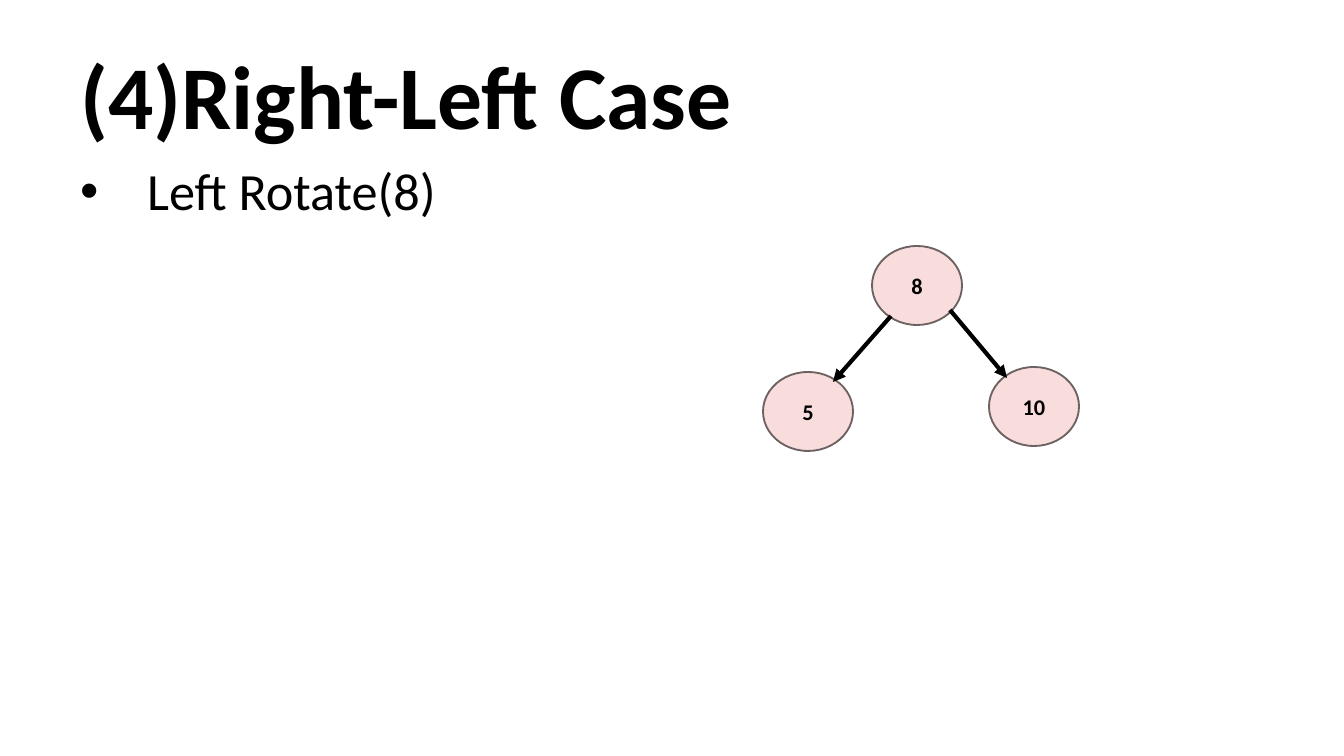
from lxml.etree import SubElement
from pptx import Presentation
from pptx.dml.color import RGBColor
from pptx.enum.shapes import MSO_CONNECTOR, MSO_SHAPE
from pptx.enum.text import MSO_ANCHOR, MSO_AUTO_SIZE, PP_ALIGN
from pptx.oxml.ns import qn
from pptx.util import Pt

SCALE = 914400 / 134.4
BLACK = RGBColor(0x00, 0x00, 0x00)
PINK = RGBColor(0xF9, 0xDD, 0xDD)
GRAY = RGBColor(0x6D, 0x61, 0x61)
NODE_WIDTH, NODE_HEIGHT = 90, 79


def px(*lengths):
    return [round(length * SCALE) for length in lengths]


def format_text(para, size, bold, align):
    para.alignment = align
    for span in para.runs:
        span.font.name = "Calibri"
        span.font.size = Pt(size)
        span.font.bold = bold
        span.font.color.rgb = BLACK


deck = Presentation()
deck.slide_width, deck.slide_height = px(1344, 756)
page = deck.slides.add_slide(deck.slide_layouts[5])

title = page.shapes.title
title.left, title.top, title.width, title.height = px(67, 42, 1210, 117)
title.text_frame.text = "(4)Right-Left Case"
title.text_frame.auto_size = MSO_AUTO_SIZE.NONE
title.text_frame.vertical_anchor = MSO_ANCHOR.MIDDLE
title_para = title.text_frame.paragraphs[0]
title_para.line_spacing = 0.9
format_text(title_para, 48, True, PP_ALIGN.LEFT)

body = page.shapes.add_textbox(*px(67, 159, 605, 555))
body.text_frame.word_wrap = True
body.text_frame.text = "Left Rotate(8)"
step = body.text_frame.paragraphs[0]
step.line_spacing = 0.9
properties = step._p.get_or_add_pPr()
indent = px(67)[0]
properties.set("marL", str(indent))
properties.set("indent", str(-indent))
SubElement(properties, qn("a:buFont"), typeface="Arial")
SubElement(properties, qn("a:buChar"), char="•")
format_text(step, 28, False, PP_ALIGN.LEFT)

for label, left, top in [("8", 872, 246), ("10", 989, 367), ("5", 763, 372)]:
    node = page.shapes.add_shape(MSO_SHAPE.OVAL, *px(left, top, NODE_WIDTH, NODE_HEIGHT))
    node.shadow.inherit = False
    node.fill.solid()
    node.fill.fore_color.rgb = PINK
    node.line.color.rgb = GRAY
    node.line.width = Pt(1)
    node.text_frame.text = label
    node.text_frame.vertical_anchor = MSO_ANCHOR.MIDDLE
    format_text(node.text_frame.paragraphs[0], 12, True, PP_ALIGN.CENTER)

for ends in [(950, 310, 1007, 378), (891, 316, 833, 382)]:
    arrow = page.shapes.add_connector(MSO_CONNECTOR.STRAIGHT, *px(*ends))
    arrow.line.color.rgb = BLACK
    arrow.line.width = Pt(2.25)
    SubElement(arrow.line._get_or_add_ln(), qn("a:tailEnd"), type="triangle")
    SubElement(arrow._element.spPr, qn("a:effectLst"))

deck.save("out.pptx")
